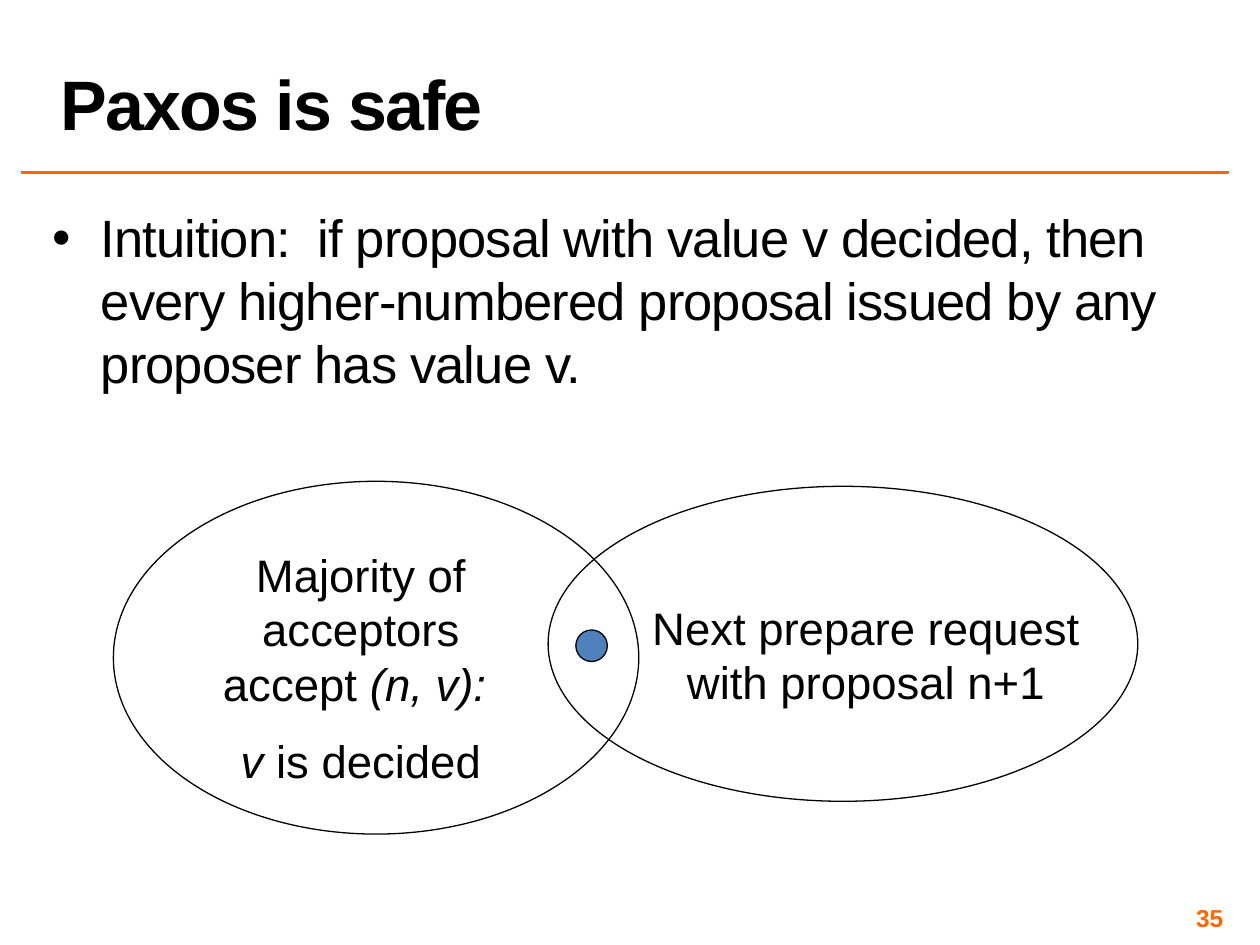
from lxml import etree
from pptx import Presentation
from pptx.dml.color import RGBColor
from pptx.enum.shapes import MSO_CONNECTOR, MSO_SHAPE
from pptx.enum.text import MSO_ANCHOR, MSO_AUTO_SIZE, PP_ALIGN
from pptx.oxml.ns import qn
from pptx.util import Inches, Pt

TITLE_ONLY = 5
OVAL = MSO_SHAPE.OVAL
STRAIGHT = MSO_CONNECTOR.STRAIGHT
TOP, MIDDLE, BOTTOM = MSO_ANCHOR.TOP, MSO_ANCHOR.MIDDLE, MSO_ANCHOR.BOTTOM
LEFT, CENTER, RIGHT = PP_ALIGN.LEFT, PP_ALIGN.CENTER, PP_ALIGN.RIGHT
NO_AUTOFIT = MSO_AUTO_SIZE.NONE
BLACK, WHITE, ORANGE, BLUE = "000000", "FFFFFF", "FF6600", "4F81BD"


def color(value):
    """Turn a hex string into a colour."""
    return RGBColor.from_string(value)


def place(shape, left, top, width, height):
    """Set the position and size of a shape in inches."""
    shape.left, shape.top = Inches(left), Inches(top)
    shape.width, shape.height = Inches(width), Inches(height)


def set_frame(frame, anchor, inset):
    """Set wrapping, anchor and side margins of a text frame."""
    frame.word_wrap = True
    frame.auto_size = NO_AUTOFIT
    frame.vertical_anchor = anchor
    frame.margin_left = frame.margin_right = Inches(inset)
    frame.margin_top = frame.margin_bottom = Inches(min(inset, 0.05))


def add_span(para, text, size, ink=BLACK, bold=False, italic=False, spacing=0):
    """Add one formatted run, with letter spacing in points."""
    span = para.add_run()
    span.text = text
    font = span.font
    font.name, font.size = "Arial", Pt(size)
    font.bold, font.italic = bold, italic
    font.color.rgb = color(ink)
    if spacing:
        font._element.set("spc", str(int(spacing * 100)))


def add_box(slide, bounds, anchor=TOP, inset=0.1):
    """Add a wrapping text box and return its frame."""
    box = slide.shapes.add_textbox(*map(Inches, bounds))
    set_frame(box.text_frame, anchor, inset)
    return box.text_frame


def add_title(slide, text):
    """Move, format and fill the title placeholder."""
    title = slide.shapes.title
    place(title, 0.38, 0.02, 9.37, 1.17)
    set_frame(title.text_frame, BOTTOM, 0.1)
    para = title.text_frame.paragraphs[0]
    para.alignment, para.line_spacing = LEFT, 0.8
    add_span(para, text, 40, bold=True, spacing=-1)


def add_rule(slide):
    """Draw the line under the title."""
    ends = map(Inches, (0.17, 1.37, 9.75, 1.37))
    rule = slide.shapes.add_connector(STRAIGHT, *ends)
    rule.line.color.rgb = color(ORANGE)
    rule.line.width = Pt(2)
    etree.SubElement(rule._element.spPr, qn("a:effectLst"))


def add_bullet(slide, text):
    """Add the bulleted statement with a hanging indent."""
    frame = add_box(slide, (0.38, 1.59, 9.37, 5.48), inset=0.04)
    para = frame.paragraphs[0]
    para.space_before, para.space_after = Pt(30), Pt(8)
    props = para._p.get_or_add_pPr()
    props.set("marL", str(Inches(0.38)))
    props.set("indent", str(Inches(-0.38)))
    etree.SubElement(props, qn("a:buFont")).set("typeface", "Arial")
    etree.SubElement(props, qn("a:buChar")).set("char", "•")
    add_span(para, text, 30, spacing=-0.5)


def add_oval(slide, bounds, fill=None):
    """Add an outlined oval, filled when a colour is given."""
    oval = slide.shapes.add_shape(OVAL, *map(Inches, bounds))
    oval.shadow.inherit = False
    if fill:
        oval.fill.solid()
        oval.fill.fore_color.rgb = color(fill)
    else:
        oval.fill.background()
    oval.line.color.rgb = color(BLACK)
    oval.line.width = Pt(0.75)


def add_label(slide, bounds, paragraphs):
    """Add centred paragraphs made of (text, italic) spans."""
    frame = add_box(slide, bounds)
    for index, spans in enumerate(paragraphs):
        para = frame.add_paragraph() if index else frame.paragraphs[0]
        para.alignment, para.space_before = CENTER, Pt(13)
        for text, italic in spans:
            add_span(para, text, 26, italic=italic)


def add_page_number(slide, number):
    """Add the page number at the lower right."""
    frame = add_box(slide, (7.42, 7.17, 2.33, 0.23), MIDDLE, 0.04)
    para = frame.paragraphs[0]
    para.alignment = RIGHT
    add_span(para, number, 14, ORANGE, bold=True)


def main():
    """Build the slide and save the deck."""
    deck = Presentation()
    deck.slide_width, deck.slide_height = Inches(10), Inches(7.5)
    slide = deck.slides.add_slide(deck.slide_layouts[TITLE_ONLY])
    add_rule(slide)
    add_title(slide, "Paxos is safe")
    add_bullet(slide, "Intuition:  if proposal with value v decided, then every "
                      "higher-numbered proposal issued by any proposer has value v.")
    add_page_number(slide, "35")
    add_oval(slide, (0.9, 3.82, 4.17, 2.8), WHITE)
    add_label(slide, (1.45, 4.29, 2.83, 2.07), [
        [("Majority of acceptors accept ", False), ("(n, v): ", True)],
        [("v ", True), ("is decided", False)],
    ])
    add_oval(slide, (4.35, 3.86, 4.68, 2.5))
    add_label(slide, (4.96, 4.71, 3.83, 0.98),
              [[("Next prepare request with proposal n+1", False)]])
    add_oval(slide, (4.57, 5, 0.25, 0.25), BLUE)
    deck.save("out.pptx")


if __name__ == "__main__":
    main()
